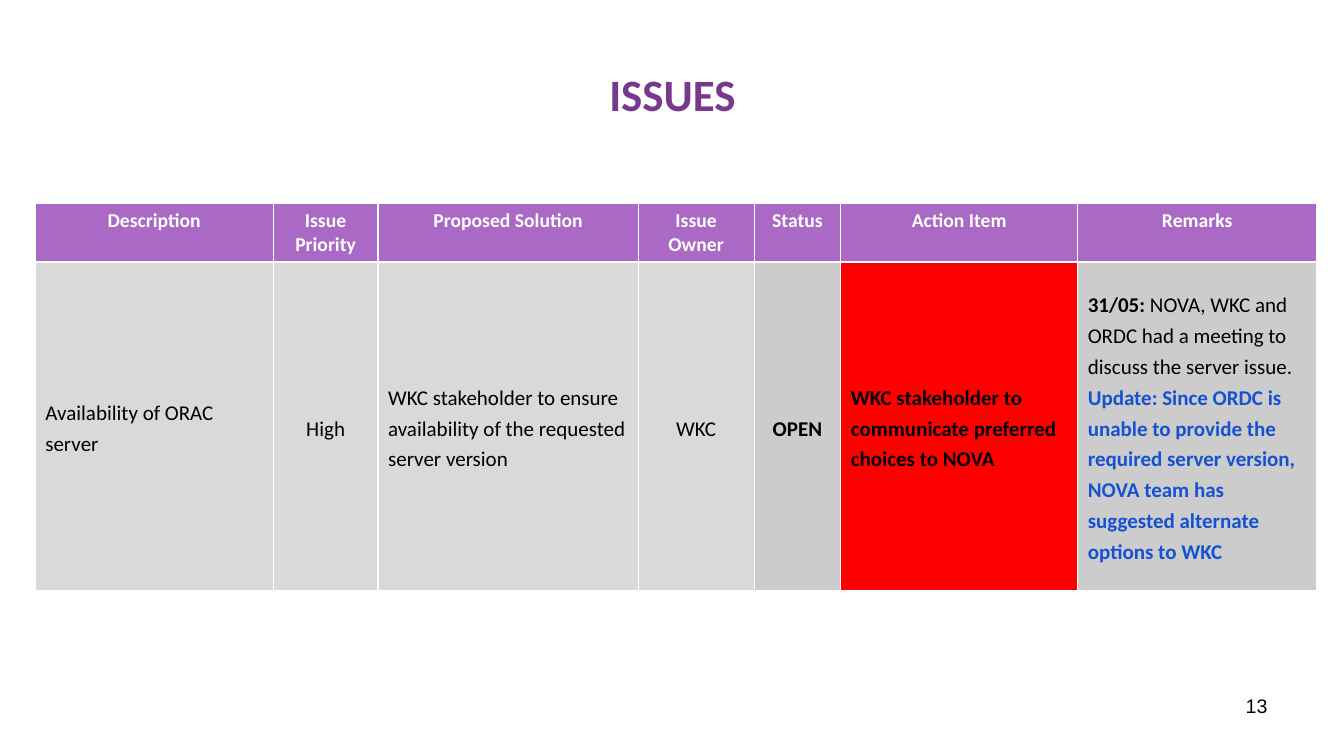
from lxml import etree
from pptx import Presentation
from pptx.dml.color import RGBColor
from pptx.enum.text import MSO_ANCHOR as ANCHOR, PP_ALIGN as ALIGN
from pptx.oxml.ns import qn
from pptx.util import Inches, Pt

PURPLE, WHITE, BLACK, BLUE = "A969C4", "FFFFFF", "000000", "1552D1"
LIGHT, GREY, RED = "D9D9D9", "CCCCCC", "FF0000"

COLUMNS = [
    ("Description", 2.36), ("Issue Priority", 1.04), ("Proposed Solution", 2.58),
    ("Issue Owner", 1.15), ("Status", 0.86), ("Action Item", 2.35), ("Remarks", 2.37),
]
ROW_HEIGHTS = [0.58, 3.26]
REMARKS = [
    [("31/05:", True, BLACK),
     (" NOVA, WKC and ORDC had a meeting to discuss the server issue.", False, BLACK)],
    [("Update: Since ORDC is unable to provide the required server version, "
      "NOVA team has suggested alternate options to WKC", True, BLUE)],
]
ISSUE = [
    ([[("Availability of ORAC server", False, BLACK)]], ALIGN.LEFT, LIGHT),
    ([[("High", False, BLACK)]], ALIGN.CENTER, LIGHT),
    ([[("WKC stakeholder to ensure availability of the requested server version",
        False, BLACK)]], ALIGN.LEFT, LIGHT),
    ([[("WKC", False, BLACK)]], ALIGN.CENTER, LIGHT),
    ([[("OPEN", True, BLACK)]], ALIGN.CENTER, GREY),
    ([[("WKC stakeholder to communicate preferred choices to NOVA",
        True, BLACK)]], ALIGN.LEFT, RED),
    (REMARKS, ALIGN.LEFT, GREY),
]


def rgb(value):
    """Turn a hex string into a colour."""
    return RGBColor.from_string(value)


def set_font(font, size, color, bold=False, name="Calibri"):
    """Set the look of a paragraph or run font."""
    font.name, font.size, font.bold = name, Pt(size), bold
    font.color.rgb = rgb(color)


def add_label(slide, box, text, size, color, align, anchor, bold=False, name="Calibri"):
    """Add a one-paragraph text box filling the given box."""
    tf = slide.shapes.add_textbox(*map(Inches, box)).text_frame
    tf.word_wrap = True
    tf.vertical_anchor = anchor
    p = tf.paragraphs[0]
    p.text, p.alignment = text, align
    set_font(p.font, size, color, bold, name)


def style_cell(cell, fill):
    """Fill a cell and give it thin white borders."""
    tc_pr = cell._tc.get_or_add_tcPr()
    for side in ("a:lnL", "a:lnR", "a:lnT", "a:lnB"):
        line = etree.SubElement(tc_pr, qn(side), w=str(Pt(1)))
        solid = etree.SubElement(line, qn("a:solidFill"))
        etree.SubElement(solid, qn("a:srgbClr"), val=WHITE)
    cell.fill.solid()
    cell.fill.fore_color.rgb = rgb(fill)


def fill_cell(cell, paragraphs, align, fill, size, spacing, anchor):
    """Write paragraphs of (text, bold, colour) runs into a cell."""
    style_cell(cell, fill)
    cell.vertical_anchor = anchor
    tf = cell.text_frame
    for i, runs in enumerate(paragraphs):
        p = tf.add_paragraph() if i else tf.paragraphs[0]
        p.alignment, p.line_spacing = align, spacing
        for text, bold, color in runs:
            r = p.add_run()
            r.text = text
            set_font(r.font, size, color, bold)


def add_issue_table(slide, left, top):
    """Place the issue table with its top left corner at the given point."""
    width = sum(w for _, w in COLUMNS)
    table = slide.shapes.add_table(
        len(ROW_HEIGHTS), len(COLUMNS), Inches(left), Inches(top),
        Inches(width), Inches(sum(ROW_HEIGHTS))).table
    table.horz_banding = False
    for row, height in zip(table.rows, ROW_HEIGHTS):
        row.height = Inches(height)
    for i, ((heading, col_width), (text, align, fill)) in enumerate(zip(COLUMNS, ISSUE)):
        table.columns[i].width = Inches(col_width)
        fill_cell(table.cell(0, i), [[(heading, True, WHITE)]], ALIGN.CENTER,
                  PURPLE, 14, 1.0, ANCHOR.TOP)
        fill_cell(table.cell(1, i), text, align, fill, 15, 1.2, ANCHOR.MIDDLE)


def main():
    """Build the issues slide and save it."""
    prs = Presentation()
    prs.slide_width, prs.slide_height = Inches(13.33), Inches(7.5)
    slide = prs.slides.add_slide(prs.slide_layouts[6])
    add_label(slide, (0.67, 0.3, 12, 1.25), "ISSUES", 32, "78398D",
              ALIGN.CENTER, ANCHOR.MIDDLE, bold=True)
    add_label(slide, (9.56, 6.83, 3.11, 0.52), "13", 14, BLACK,
              ALIGN.RIGHT, ANCHOR.TOP, name="Arial")
    add_issue_table(slide, 0.35, 2.02)
    prs.save("out.pptx")


if __name__ == "__main__":
    main()
